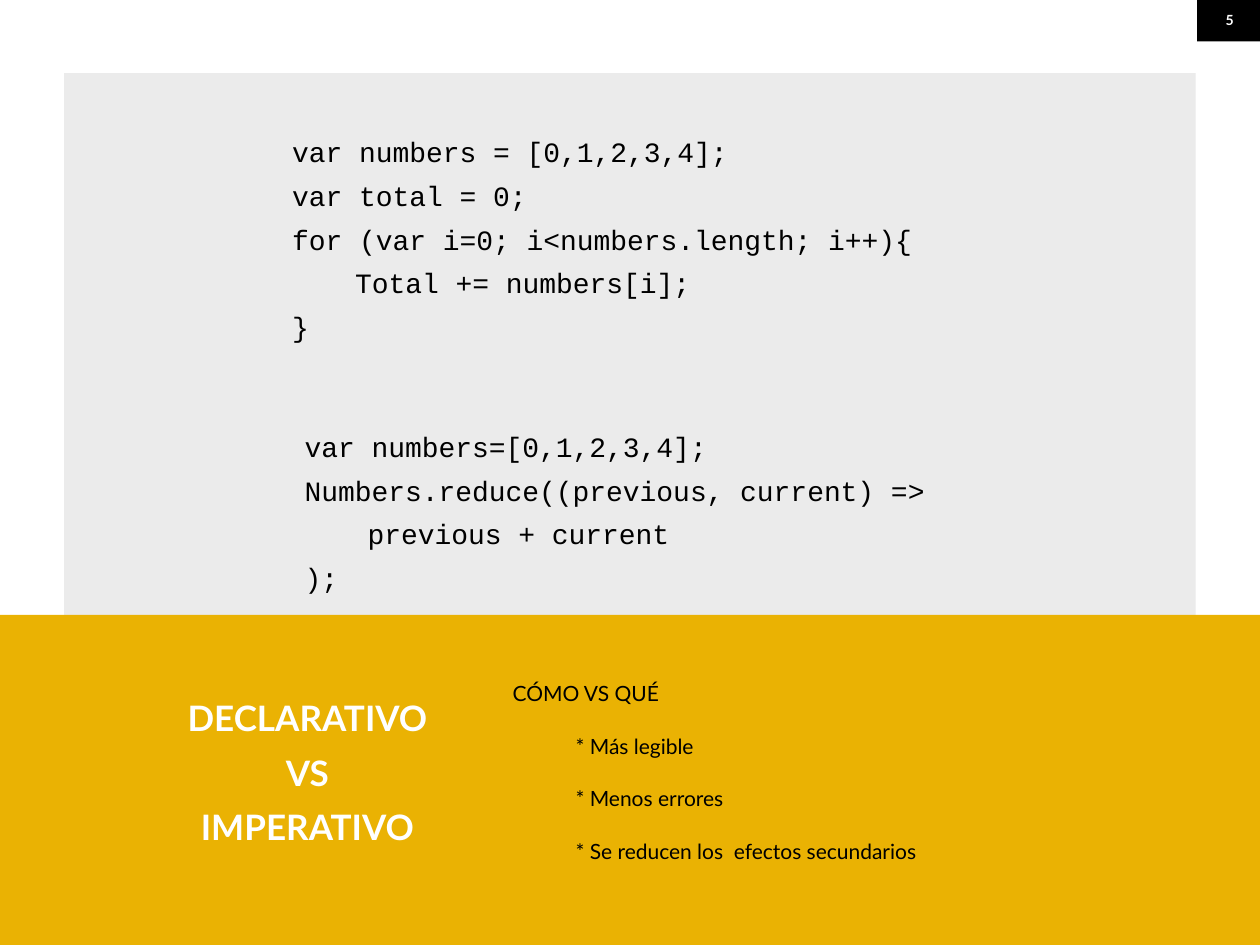
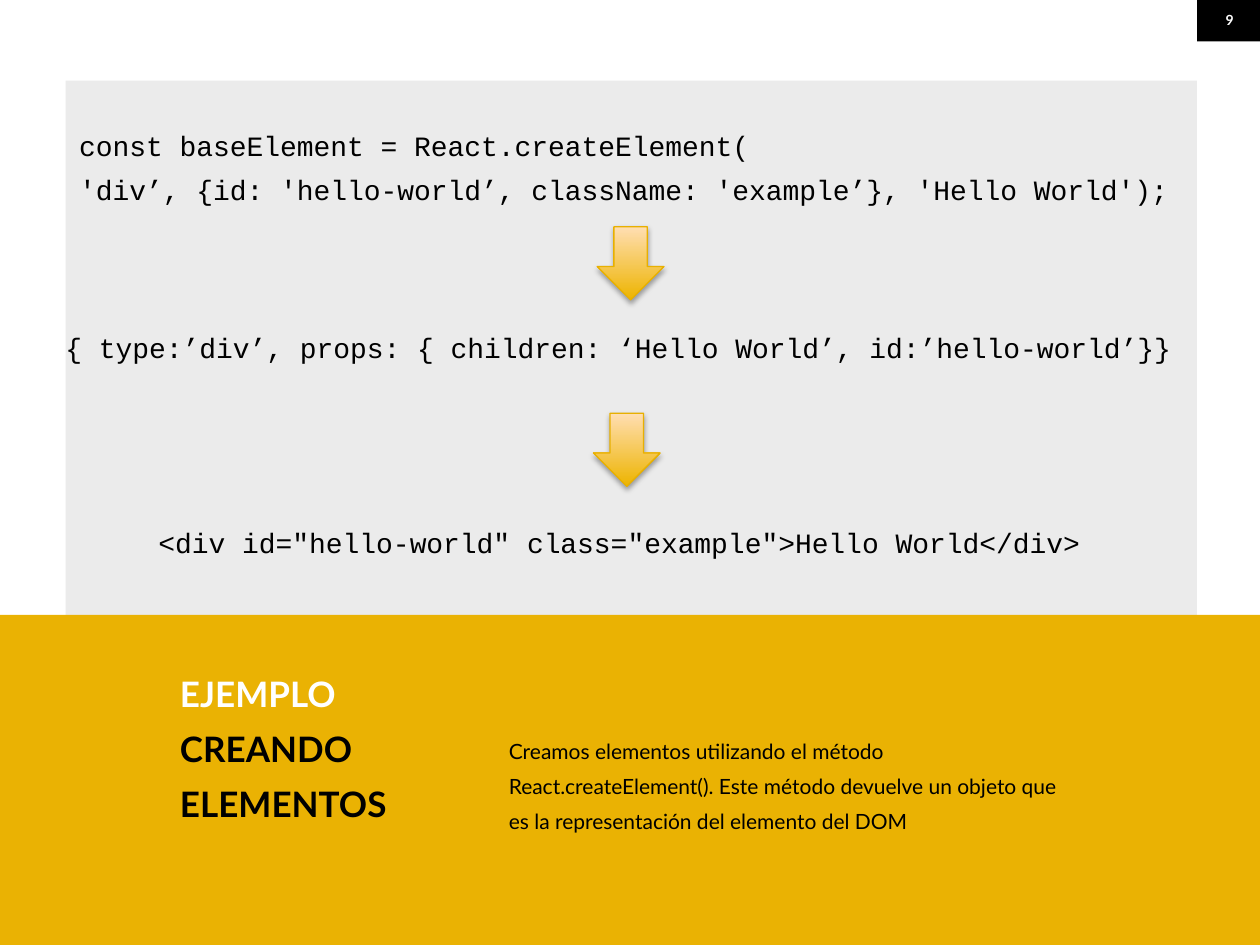
"""Build two slides that compare code samples above a yellow caption band."""
from dataclasses import dataclass
from typing import NamedTuple

from lxml import etree
from pptx import Presentation
from pptx.dml.color import RGBColor
from pptx.enum.shapes import MSO_SHAPE
from pptx.enum.text import MSO_AUTO_SIZE, PP_ALIGN
from pptx.oxml.ns import qn
from pptx.util import Inches, Pt

RECTANGLE, DOWN_ARROW = MSO_SHAPE.RECTANGLE, MSO_SHAPE.DOWN_ARROW
LEFT, CENTER = PP_ALIGN.LEFT, PP_ALIGN.CENTER
GROW = MSO_AUTO_SIZE.SHAPE_TO_FIT_TEXT
SLIDE_WIDTH, SLIDE_HEIGHT = Inches(10), Inches(7.5)
COLUMNS, ROWS = 100, 75
TAB_STOP = Inches(0.5)


@dataclass(frozen=True)
class Theme:
    """Colours, fonts and type sizes shared by the slides."""
    black: str = "000000"
    white: str = "FFFFFF"
    panel: str = "EBEBEB"
    band: str = "EAB203"
    arrow_dark: str = "EDB400"
    arrow_light: str = "FFDEB2"
    arrow_line: str = "E8B000"
    sans: str = "Lato"
    mono: str = "Courier New"
    number_size: int = 8
    body_size: int = 12
    code_size: int = 16
    title_size: int = 20


THEME = Theme()


class Area(NamedTuple):
    """Place on the slide, in grid columns and rows."""
    left: float
    top: float
    width: float
    height: float


class TextStyle(NamedTuple):
    """Look of the paragraphs of a text box."""
    font: str
    size: int
    color: str
    bold: bool = False
    line_spacing: float = 1.0
    space_after: int = 0


class TextBlock(NamedTuple):
    """Text box with one string for each paragraph."""
    area: Area
    style: TextStyle
    lines: tuple[str, ...]
    alignment: PP_ALIGN = LEFT
    line_colors: tuple[str, ...] = ()


class SlideContent(NamedTuple):
    """Everything that differs from slide to slide."""
    number: str
    panel: Area
    texts: tuple[TextBlock, ...]
    arrows: tuple[Area, ...] = ()


NUMBER = TextStyle(THEME.sans, THEME.number_size, THEME.white, True)
TITLE = TextStyle(THEME.sans, THEME.title_size, THEME.white, True, 1.3)
BODY = TextStyle(THEME.sans, THEME.body_size, THEME.black, False, 1.4, 10)
CODE = TextStyle(THEME.mono, THEME.code_size, THEME.black, False, 1.3)
BADGE = Area(95, 0, 5.2, 3.3)
BADGE_TEXT = Area(95, 0.4, 5.2, 2.4)
BAND = Area(0, 48.8, 100.2, 26.2)

SLIDES = (
    SlideContent("5", Area(5.1, 5.8, 89.8, 46.7), (
        TextBlock(Area(13.3, 53.8, 22.2, 13.7), TITLE,
                  ("DECLARATIVO VS IMPERATIVO",), CENTER),
        TextBlock(Area(39.7, 52.7, 47, 16.5), BODY, (
            "CÓMO VS QUÉ",
            "\t* Más legible",
            "\t* Menos errores",
            "\t* Se reducen los  efectos secundarios")),
        TextBlock(Area(22.2, 9.4, 51.9, 18.5), CODE, (
            "var numbers = [0,1,2,3,4];",
            "var total = 0;",
            "for (var i=0; i<numbers.length; i++){",
            "\tTotal += numbers[i];",
            "}")),
        TextBlock(Area(23.2, 32.8, 53.8, 15), CODE, (
            "var numbers=[0,1,2,3,4];",
            "Numbers.reduce((previous, current) =>",
            "\tprevious + current",
            ");")),
    )),
    SlideContent("9", Area(5.2, 6.4, 89.8, 46.7), (
        TextBlock(Area(13.3, 51.9, 20.8, 14.1), TITLE,
                  ("EJEMPLO", "CREANDO ELEMENTOS"),
                  line_colors=(THEME.white, THEME.black)),
        TextBlock(Area(39.4, 57.3, 47, 9.5), BODY, (
            "Creamos elementos utilizando el método React.createElement(). "
            "Este método devuelve un objeto que es la representación del "
            "elemento del DOM",)),
        TextBlock(Area(5.3, 8.9, 89.6, 8), CODE, (
            "const baseElement = React.createElement(",
            "'div’, {id: 'hello-world’, className: 'example’}, "
            "'Hello World');")),
        TextBlock(Area(11.6, 40.4, 76.3, 4.5), CODE, (
            '<div id="hello-world" class="example">Hello World</div>',)),
        TextBlock(Area(4.2, 24.9, 91.2, 4.5), CODE, (
            "{ type:’div’, props: { children: ‘Hello World’, "
            "id:’hello-world’}}",)),
    ), (Area(47.4, 18, 5.3, 5.8), Area(47.1, 32.8, 5.3, 5.8))),
)


def place(area: Area) -> tuple[int, int, int, int]:
    """Turn grid units into slide lengths."""
    column, row = SLIDE_WIDTH / COLUMNS, SLIDE_HEIGHT / ROWS
    return (round(area.left * column), round(area.top * row),
            round(area.width * column), round(area.height * row))


def add_rectangle(slide, area: Area, color: str) -> None:
    """Draw a plain filled rectangle."""
    shape = slide.shapes.add_shape(RECTANGLE, *place(area))
    shape.shadow.inherit = False
    shape.fill.solid()
    shape.fill.fore_color.rgb = RGBColor.from_string(color)
    shape.line.fill.background()


def add_arrow(slide, area: Area) -> None:
    """Draw a down arrow with a gradient and a soft shadow."""
    shape = slide.shapes.add_shape(DOWN_ARROW, *place(area))
    shape.fill.gradient()
    shape.fill.gradient_angle = 90
    for stop, color in zip(shape.fill.gradient_stops,
                           (THEME.arrow_dark, THEME.arrow_light)):
        stop.color.rgb = RGBColor.from_string(color)
    shape.line.color.rgb = RGBColor.from_string(THEME.arrow_line)
    shape.line.width = Pt(0.75)
    shape.shadow.inherit = False
    effects = shape._element.spPr.find(qn("a:effectLst"))
    shadow = etree.SubElement(
        effects, qn("a:outerShdw"), blurRad=str(Pt(3.1)), dist=str(Pt(1.8)),
        dir="5400000", rotWithShape="0")
    color = etree.SubElement(shadow, qn("a:srgbClr"), val=THEME.black)
    etree.SubElement(color, qn("a:alpha"), val="35000")


def add_tab_stop(paragraph) -> None:
    """Give a paragraph one left tab stop."""
    properties = paragraph._p.get_or_add_pPr()
    tabs = etree.SubElement(properties, qn("a:tabLst"))
    etree.SubElement(tabs, qn("a:tab"), pos=str(TAB_STOP), algn="l")


def add_text(slide, block: TextBlock) -> None:
    """Draw a text box paragraph by paragraph."""
    style = block.style
    frame = slide.shapes.add_textbox(*place(block.area)).text_frame
    frame.word_wrap = True
    frame.auto_size = GROW
    colors = block.line_colors or (style.color,) * len(block.lines)
    for index, (line, color) in enumerate(zip(block.lines, colors)):
        paragraph = frame.add_paragraph() if index else frame.paragraphs[0]
        if line.startswith("\t"):
            add_tab_stop(paragraph)
        paragraph.alignment = block.alignment
        paragraph.line_spacing = style.line_spacing
        paragraph.space_after = Pt(style.space_after)
        run = paragraph.add_run()
        run.text = line
        run.font.name = style.font
        run.font.size = Pt(style.size)
        run.font.bold = style.bold
        run.font.color.rgb = RGBColor.from_string(color)


def add_slide(presentation, content: SlideContent) -> None:
    """Add one slide with its badge, panel, band, texts and arrows."""
    slide = presentation.slides.add_slide(presentation.slide_layouts[6])
    add_rectangle(slide, BADGE, THEME.black)
    add_text(slide, TextBlock(BADGE_TEXT, NUMBER, (content.number,), CENTER))
    add_rectangle(slide, content.panel, THEME.panel)
    add_rectangle(slide, BAND, THEME.band)
    for block in content.texts:
        add_text(slide, block)
    for area in content.arrows:
        add_arrow(slide, area)


def main() -> None:
    """Build and save the presentation."""
    presentation = Presentation()
    presentation.slide_width = SLIDE_WIDTH
    presentation.slide_height = SLIDE_HEIGHT
    for content in SLIDES:
        add_slide(presentation, content)
    presentation.save("out.pptx")


if __name__ == "__main__":
    main()
